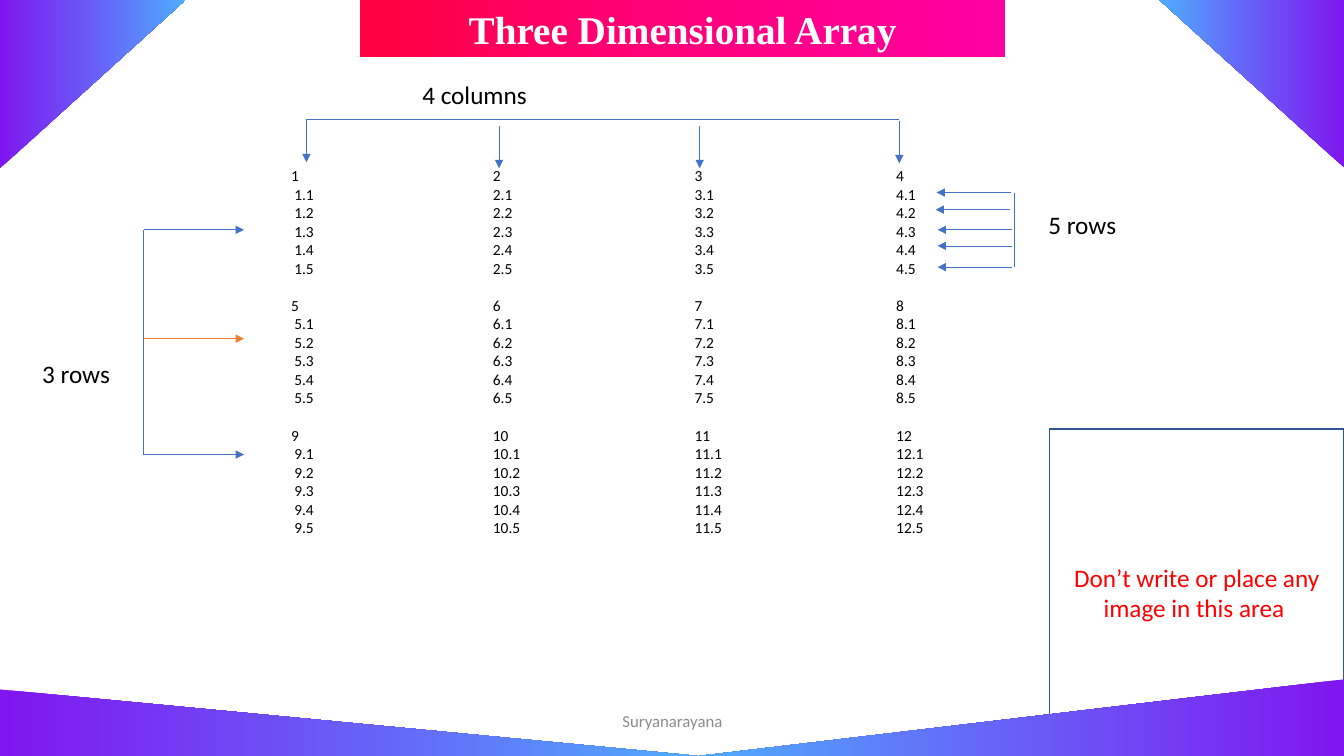
from copy import deepcopy
from dataclasses import dataclass

from lxml import etree
from pptx import Presentation
from pptx.dml.color import RGBColor
from pptx.enum.shapes import MSO_CONNECTOR, MSO_SHAPE
from pptx.enum.text import MSO_ANCHOR, MSO_AUTO_SIZE, PP_ALIGN
from pptx.oxml.ns import qn
from pptx.util import Inches, Pt

RECTANGLE = MSO_SHAPE.RECTANGLE
RIGHT_TRIANGLE = MSO_SHAPE.RIGHT_TRIANGLE
STRAIGHT = MSO_CONNECTOR.STRAIGHT
MIDDLE = MSO_ANCHOR.MIDDLE
TOP = MSO_ANCHOR.TOP
CENTER = PP_ALIGN.CENTER
LEFT = PP_ALIGN.LEFT
GROW = MSO_AUTO_SIZE.SHAPE_TO_FIT_TEXT
FIXED = MSO_AUTO_SIZE.NONE


@dataclass(frozen=True)
class Theme:
    body_font: str = "Calibri"
    title_font: str = "Times New Roman"
    white: str = "FFFFFF"
    ink: str = "000000"
    warning: str = "FF0000"
    footer: str = "8C8C8C"
    border: str = "325491"
    blue: str = "4472C4"
    orange: str = "ED7D31"
    banner: tuple = ((0.02, "FF0040"), (0.37, "FF0071"), (0.99, "FF00A2"))
    corner: tuple = ((0, "8016EF"), (0.52, "6761F7"), (1, "4FACFE"))
    title_size: int = 28
    label_size: int = 18
    footer_size: int = 12
    value_size: int = 11
    value_gap: float = 13.4
    line_width: float = 0.5
    border_width: float = 1.25


THEME = Theme()


def color(code):
    return RGBColor.from_string(code)


def style(paragraph, size, code, font=THEME.body_font, bold=False):
    formats = {"name": font, "size": Pt(size), "bold": bold}
    for attribute, value in formats.items():
        setattr(paragraph.font, attribute, value)
    paragraph.font.color.rgb = color(code)


def write(shape, text, size, code, align=CENTER, anchor=MIDDLE, wrap=True,
          **font):
    frame = shape.text_frame
    formats = {"word_wrap": wrap, "vertical_anchor": anchor,
               "auto_size": FIXED if wrap else GROW}
    for attribute, value in formats.items():
        setattr(frame, attribute, value)
    paragraph = frame.paragraphs[0]
    paragraph.text = text
    paragraph.alignment = align
    style(paragraph, size, code, **font)


def add_preset(slide, preset, box):
    shape = slide.shapes.add_shape(preset, *map(Inches, box))
    shape.shadow.inherit = False
    shape.line.fill.background()
    return shape


def fill_gradient(shape, stops):
    shape.fill.gradient()
    shape.fill.gradient_angle = 0
    stop_list = shape.fill._fill._gradFill.gsLst
    stop_list.append(deepcopy(stop_list[-1]))
    for stop, (position, code) in zip(shape.fill.gradient_stops, stops):
        stop.position = position
        stop.color.rgb = color(code)


def add_line(slide, start, end, code=THEME.blue, arrow=True):
    line = slide.shapes.add_connector(STRAIGHT, *map(Inches, start + end))
    line.line.color.rgb = color(code)
    line.line.width = Pt(THEME.line_width)
    if arrow:
        etree.SubElement(line.line._get_or_add_ln(), qn("a:tailEnd"),
                         type="triangle")
    etree.SubElement(line._element.spPr, qn("a:effectLst"))


def add_label(slide, box, text):
    label = slide.shapes.add_textbox(*map(Inches, box))
    write(label, text, THEME.label_size, THEME.ink, LEFT, TOP, wrap=False)


def draw_reserved_area(slide, box):
    area = add_preset(slide, RECTANGLE, box)
    area.fill.solid()
    area.fill.fore_color.rgb = color(THEME.white)
    area.line.color.rgb = color(THEME.border)
    area.line.width = Pt(THEME.border_width)
    write(area, "Don’t write or place any image in this area ",
          THEME.label_size, THEME.warning)


def draw_title(slide, box):
    banner = add_preset(slide, RECTANGLE, box)
    fill_gradient(banner, THEME.banner)
    for side in ("left", "top", "right", "bottom"):
        setattr(banner.text_frame, f"margin_{side}", Inches(0.05))
    write(banner, "Three Dimensional Array", THEME.title_size, THEME.white,
          font=THEME.title_font, bold=True)


def draw_corners(slide, box):
    left, top, width, height = box
    right, bottom = left + width, top + height
    corners = (
        ((left, bottom - 0.66, 6.93, 0.66), ()),
        ((left, top, 1.84, 1.67), ("flipV",)),
        ((right - 6.4, bottom - 0.76, 6.4, 0.76), ("flipH",)),
        ((right - 1.83, top, 1.84, 1.67), ("flipH", "flipV")),
    )
    for corner_box, flips in corners:
        corner = add_preset(slide, RIGHT_TRIANGLE, corner_box)
        fill_gradient(corner, THEME.corner)
        for flip in flips:
            corner._element.spPr.xfrm.set(flip, "1")


def draw_values(slide, box, blocks=3, rows=5, columns=4):
    values = slide.shapes.add_textbox(*map(Inches, box))
    frame = values.text_frame
    frame.word_wrap = True
    for index in range(blocks * (rows + 1)):
        block, row = divmod(index, rows + 1)
        numbers = range(block * columns + 1, (block + 1) * columns + 1)
        paragraph = frame.add_paragraph() if index else frame.paragraphs[0]
        paragraph.text = "\t".join(f"{n}.{row}" if row else str(n)
                                   for n in numbers)
        spacing = {"marL": 0, "indent": 0.03 if row else 0, "defTabSz": 2}
        for attribute, length in spacing.items():
            paragraph._p.get_or_add_pPr().set(attribute, str(Inches(length)))
        if block and not row:
            paragraph.space_before = Pt(THEME.value_gap)
        style(paragraph, THEME.value_size, THEME.ink)


def draw_block_bracket(slide, box):
    left, top, width, height = box
    for offset, code in ((0, THEME.blue), (1.08, THEME.orange),
                         (height, THEME.blue)):
        y = top + offset
        add_line(slide, (left + 0.01, y), (left + width, y), code)
    add_line(slide, (left, top), (left, top + height), arrow=False)
    add_label(slide, (left - 1.1, top + 1.23, 0.88, 0.4), "3 rows")


def draw_column_bracket(slide, box):
    left, top, width, height = box
    for offset, drop in ((0, 0.01), (1.91, 0.07), (3.9, 0.07), (width, 0.02)):
        x = left + offset
        add_line(slide, (x, top + drop), (x, top + drop + height))
    add_line(slide, (left, top), (left + width, top), arrow=False)
    add_label(slide, (left + 1.05, top - 0.44, 1.25, 0.4), "4 columns")


def draw_row_bracket(slide, box):
    left, top, width, height = box
    right = left + width
    for offset, shift in ((0, 0.01), (0.17, 0), (0.37, 0.02), (0.53, 0.02),
                          (height, 0.02)):
        tip, y = left + shift, top + offset
        add_line(slide, (tip + 0.74, y), (tip, y))
    add_line(slide, (right, top), (right, top + height), arrow=False)
    add_label(slide, (right + 0.24, top + 0.12, 0.88, 0.4), "5 rows")


def draw_footer(slide, box):
    author = slide.shapes.add_textbox(*map(Inches, box))
    write(author, "Suryanarayana", THEME.footer_size, THEME.footer)


def main():
    deck = Presentation()
    deck.slide_width, deck.slide_height = Inches(13.33), Inches(7.5)
    slide = deck.slides.add_slide(deck.slide_layouts[6])
    draw_reserved_area(slide, (10.41, 4.26, 2.92, 3.24))
    draw_title(slide, (3.57, 0, 6.4, 0.57))
    draw_corners(slide, (0, 0, 13.33, 7.5))
    draw_values(slide, (2.79, 1.6, 7.18, 3.8))
    draw_block_bracket(slide, (1.42, 2.28, 1, 2.23))
    draw_column_bracket(slide, (3.04, 1.18, 5.88, 0.42))
    draw_row_bracket(slide, (9.28, 1.91, 0.78, 0.74))
    draw_footer(slide, (4.42, 6.95, 4.5, 0.4))
    deck.save("out.pptx")


if __name__ == "__main__":
    main()
